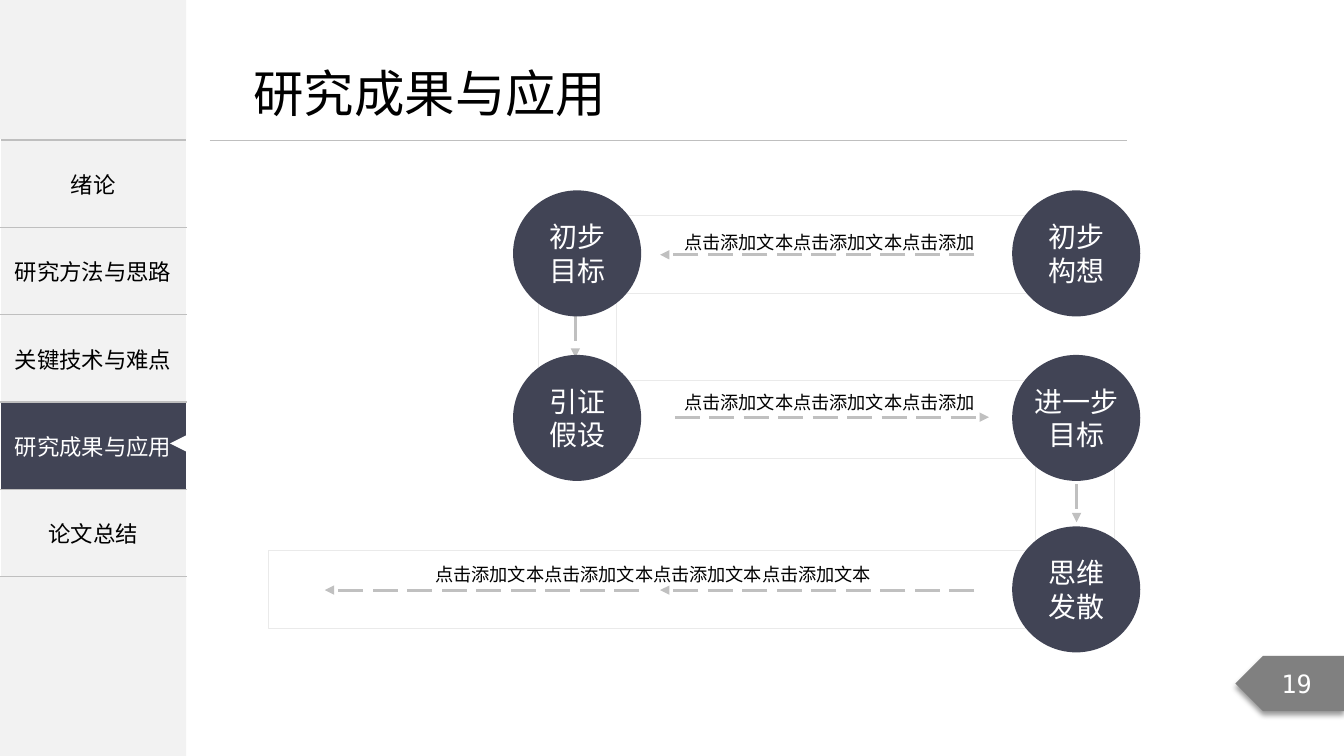
from lxml.etree import SubElement
from pptx import Presentation
from pptx.dml.color import RGBColor
from pptx.enum.dml import MSO_LINE
from pptx.enum.shapes import MSO_CONNECTOR, MSO_SHAPE
from pptx.enum.text import MSO_ANCHOR, PP_ALIGN
from pptx.oxml.ns import qn
from pptx.util import Pt

COLORS = {
    "white": "FFFFFF", "black": "000000", "navy": "414455", "panel": "F2F2F2",
    "rule": "BFBFBF", "arrow": "C0C0C0", "band": "EAEAEA", "tag": "808080",
}
CJK = "Noto Sans CJK SC"
TITLE = "研究成果与应用"
CHAPTERS = ["绪论", "研究方法与思路", "关键技术与难点", "研究成果与应用", "论文总结"]
PAGE_NUMBER = "19"

SIDEBAR_WIDTH = 133
MENU_TOP = 100
ROW_HEIGHT = 62.4
CIRCLE_SIZE = (91.5, 90)
LEFT, RIGHT = 366.5, 723
ROWS = [136, 253.5, 376]
BAND = 56

CIRCLES = [
    (RIGHT, 0, ["初步", "构想"]),
    (LEFT, 0, ["初步", "目标"]),
    (LEFT, 1, ["引证", "假设"]),
    (RIGHT, 1, ["进一步", "目标"]),
    (RIGHT, 2, ["思维", "发散"]),
]
BANDS = [
    (192, 393, 603, BAND),
    (406, 271.5, 390, BAND),
    (740, 298, BAND, 154),
    (438, 154, 358, BAND),
    (384.5, 155, BAND, 173),
]
ARROWS = [
    (696, 182, 471.5, 182),
    (411, 225.5, 411, 255.5),
    (482, 298, 706.5, 298),
    (769, 346, 769, 373),
    (696, 421.5, 471.5, 421.5),
    (456.5, 421.5, 232, 421.5),
]
LABELS = [
    (474, 154, 237, "点击添加文本点击添加文本点击添加"),
    (474, 268.5, 237, "点击添加文本点击添加文本点击添加"),
    (237, 391.5, 459, "点击添加文本点击添加文本点击添加文本点击添加文本"),
]


def color(name):
    return RGBColor.from_string(COLORS[name])


def write(frame, lines, size, ink="black", font=CJK, align=PP_ALIGN.CENTER, spacing=None):
    for index, line in enumerate(lines):
        para = frame.paragraphs[0] if index == 0 else frame.add_paragraph()
        para.alignment = align
        para.line_spacing = spacing
        span = para.add_run()
        span.text = line
        span.font.size = Pt(size)
        span.font.name = font
        span.font.color.rgb = color(ink)
        SubElement(span.font._element, qn("a:ea"), typeface=font)


def set_frame(frame, wrap, margins=None):
    frame.word_wrap = wrap
    frame.vertical_anchor = MSO_ANCHOR.MIDDLE
    if margins:
        frame.margin_left = frame.margin_right = Pt(margins[0])
        frame.margin_top = frame.margin_bottom = Pt(margins[1])


def add_block(page, kind, bounds, fill, line=None):
    shape = page.shapes.add_shape(kind, *map(Pt, bounds))
    shape.shadow.inherit = False
    shape.fill.solid()
    shape.fill.fore_color.rgb = color(fill)
    if line:
        shape.line.color.rgb = color(line)
        shape.line.width = Pt(0.75)
    else:
        shape.line.fill.background()
    return shape


def add_line(page, ends, ink, width, arrow=False):
    line = page.shapes.add_connector(MSO_CONNECTOR.STRAIGHT, *map(Pt, ends))
    line.line.color.rgb = color(ink)
    line.line.width = Pt(width)
    if arrow:
        line.line.dash_style = MSO_LINE.LONG_DASH
        SubElement(line.line._get_or_add_ln(), qn("a:tailEnd"), type="triangle")
    SubElement(line._element.spPr, qn("a:effectLst"))


def add_border(cell, side):
    border = SubElement(cell._tc.get_or_add_tcPr(), qn(f"a:{side}"), w=str(Pt(1)))
    SubElement(SubElement(border, qn("a:solidFill")), qn("a:srgbClr"), val=COLORS["rule"])


def add_menu(page):
    table = page.shapes.add_table(
        len(CHAPTERS), 1, Pt(0), Pt(MENU_TOP), Pt(SIDEBAR_WIDTH), Pt(ROW_HEIGHT * len(CHAPTERS))
    ).table
    table.first_row = table.horz_banding = False
    for row, chapter in enumerate(CHAPTERS):
        table.rows[row].height = Pt(ROW_HEIGHT)
        cell = table.cell(row, 0)
        current = chapter == TITLE
        for side in ("lnT", "lnB"):
            add_border(cell, side)
        cell.fill.solid()
        cell.fill.fore_color.rgb = color("navy" if current else "panel")
        cell.vertical_anchor = MSO_ANCHOR.MIDDLE
        write(cell.text_frame, [chapter], 16, ink="white" if current else "black")


def add_page_tag(page):
    tag = add_block(page, MSO_SHAPE.PENTAGON, (882.5, 468.5, 77.5, 39.5), "tag")
    tag._element.spPr.find(qn("a:xfrm")).set("flipH", "1")
    effects = tag._element.spPr.find(qn("a:effectLst"))
    shadow = SubElement(effects, qn("a:outerShdw"), blurRad=str(Pt(4)), dist=str(Pt(3)), dir="5400000")
    shade = SubElement(shadow, qn("a:srgbClr"), val=COLORS["black"])
    SubElement(shade, qn("a:alpha"), val="40000")
    set_frame(tag.text_frame, True)
    write(tag.text_frame, [PAGE_NUMBER], 18, ink="white", font="DejaVu Sans Mono")


def main():
    deck = Presentation()
    deck.slide_width, deck.slide_height = Pt(960), Pt(540)
    page = deck.slides.add_slide(deck.slide_layouts[6])

    add_block(page, MSO_SHAPE.RECTANGLE, (0, 0, SIDEBAR_WIDTH, 540), "panel")
    add_menu(page)
    marker = add_block(page, MSO_SHAPE.ISOSCELES_TRIANGLE, (121.5, 311, 11.5, 11.5), "white")
    marker.rotation = 270

    add_line(page, (150, MENU_TOP, 805, MENU_TOP), "rule", 0.5)
    title = page.shapes.add_textbox(Pt(174), Pt(41), Pt(269), Pt(51))
    title.text_frame.word_wrap = False
    write(title.text_frame, [TITLE], 36, align=PP_ALIGN.LEFT)
    add_page_tag(page)

    for bounds in BANDS:
        add_block(page, MSO_SHAPE.RECTANGLE, bounds, "white", line="band")
    for ends in ARROWS:
        add_line(page, ends, "arrow", 2.25, arrow=True)
    for left, row, lines in CIRCLES:
        circle = add_block(page, MSO_SHAPE.OVAL, (left, ROWS[row], *CIRCLE_SIZE), "navy")
        set_frame(circle.text_frame, False, (6, 3))
        write(circle.text_frame, lines, 20, ink="white", font="Calibri")
    for left, top, width, text in LABELS:
        box = page.shapes.add_textbox(Pt(left), Pt(top), Pt(width), Pt(30))
        set_frame(box.text_frame, True, (6, 3))
        write(box.text_frame, [text], 13, spacing=1.5)

    deck.save("out.pptx")


if __name__ == "__main__":
    main()
